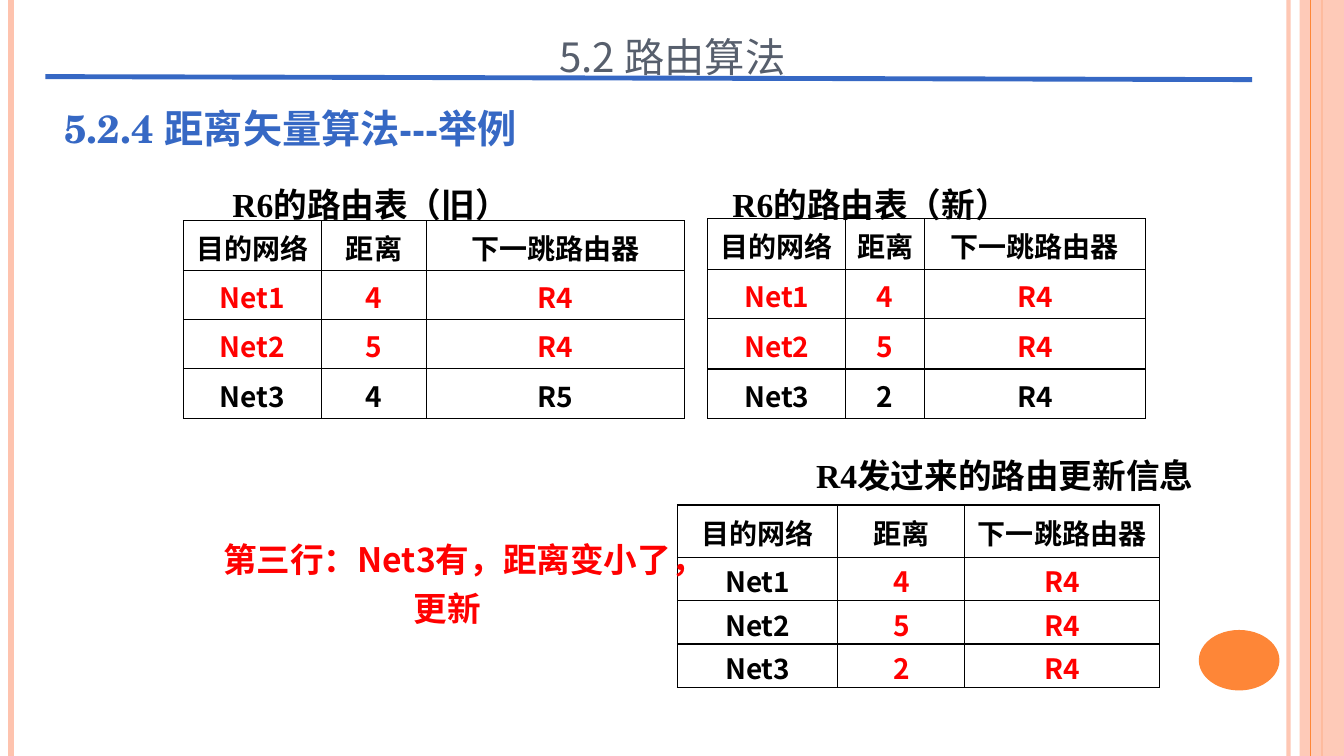
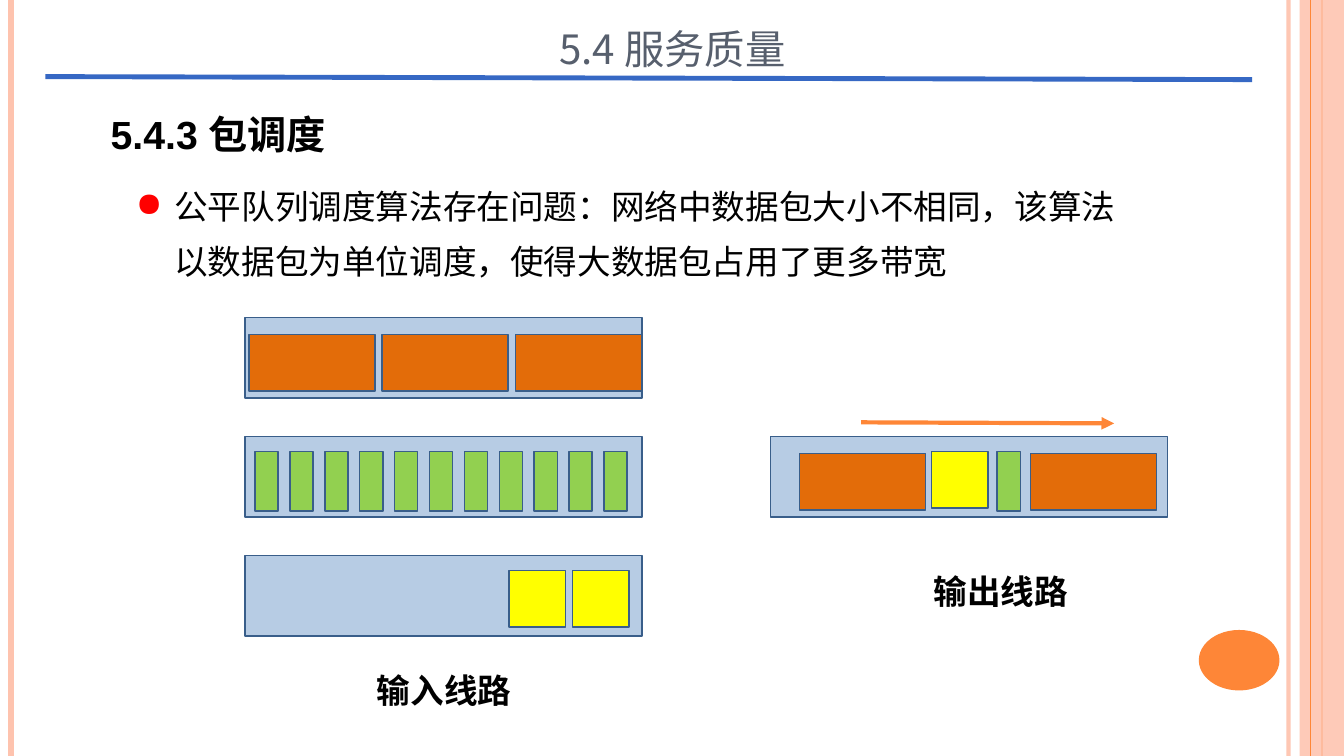
from lxml import etree
from pptx import Presentation
from pptx.dml.color import RGBColor
from pptx.enum.shapes import MSO_CONNECTOR, MSO_SHAPE
from pptx.enum.text import MSO_ANCHOR, PP_ALIGN
from pptx.oxml.ns import qn
from pptx.util import Inches, Pt

LINE = MSO_CONNECTOR.STRAIGHT
RECTANGLE, OVAL = MSO_SHAPE.RECTANGLE, MSO_SHAPE.OVAL
LEFT, CENTER = PP_ALIGN.LEFT, PP_ALIGN.CENTER
TOP, MIDDLE, BOTTOM = MSO_ANCHOR.TOP, MSO_ANCHOR.MIDDLE, MSO_ANCHOR.BOTTOM

COLORS = {
    "peach": "FEC3AE", "accent": "FE8637", "blue": "3668C4",
    "title": "575F6D", "black": "000000", "red": "FF0000",
    "track": "B7CCE4", "outline": "395E8A",
    "orange": "E36C09", "green": "92D050", "yellow": "FFFF00",
}
SANS, SERIF, SCHOOL, ARIAL = (
    "Noto Sans CJK SC", "Times New Roman", "TeX Gyre Schola", "Arial")

SLIDE_WIDTH, SLIDE_HEIGHT = 13.33, 7.5
TABLE_HEADER = ["目的网络", "距离", "下一跳路由器"]

# Packet kinds: width, height, distance below the track's top, colour
PACKETS = {
    "large": (1.25, 0.56, 0.17, "orange"),
    "medium": (0.56, 0.56, 0.15, "yellow"),
    "small": (0.23, 0.59, 0.15, "green"),
}
TRACK_WIDTH, TRACK_HEIGHT, TRACK_PITCH = 3.94, 0.8, 1.18


def rgb(name):
    return RGBColor.from_string(COLORS[name])


def add_element(parent, tag, **attributes):
    return etree.SubElement(parent, qn(tag), attributes)


def set_alpha(properties, percent):
    color = next(properties.iter(qn("a:srgbClr")))
    add_element(color, "a:alpha", val=str(percent * 1000))


def set_font(paragraph, size, name, color, bold=False):
    font = paragraph.font
    font.size, font.name, font.bold = Pt(size), name, bold
    font.color.rgb = rgb(color)
    defaults = paragraph._p.pPr.find(qn("a:defRPr"))
    add_element(defaults, "a:ea", typeface=SANS)
    return defaults


def add_text(slide, box, text, align=CENTER, anchor=TOP, spacing=1.2):
    frame = slide.shapes.add_textbox(*map(Inches, box)).text_frame
    frame.word_wrap = True
    frame.vertical_anchor = anchor
    paragraph = frame.paragraphs[0]
    paragraph.text = text
    paragraph.alignment = align
    paragraph.line_spacing = spacing
    return paragraph


def add_line(slide, start, end, color, width, alpha=None, arrow=False):
    line = slide.shapes.add_connector(LINE, *map(Inches, (*start, *end)))
    line.line.color.rgb = rgb(color)
    line.line.width = Pt(width)
    properties = line._element.spPr
    if alpha:
        set_alpha(properties, alpha)
    if arrow:
        add_element(properties.find(qn("a:ln")), "a:tailEnd", type="triangle")
    add_element(properties, "a:effectLst")


def add_block(slide, box, fill, outline=None, kind=RECTANGLE):
    shape = slide.shapes.add_shape(kind, *map(Inches, box))
    shape.shadow.inherit = False
    shape.fill.solid()
    shape.fill.fore_color.rgb = rgb(fill)
    if outline:
        shape.line.color.rgb = rgb(outline)
        shape.line.width = Pt(1)
    else:
        shape.line.fill.background()
    return shape


def add_frame(slide):
    """Side bands and page disc."""
    def vertical(x, color, width, alpha=None):
        add_line(slide, (x, 0), (x, SLIDE_HEIGHT), color, width, alpha)

    vertical(12.78, "peach", 3, 93)
    vertical(0.11, "peach", 4.5)
    vertical(13.11, "accent", 1.5)
    band = add_block(slide, (12.89, 0, 0.44, SLIDE_HEIGHT), "peach")
    set_alpha(band._element.spPr, 87)
    vertical(13, "accent", 0.75)
    add_block(slide, (11.89, 6.25, 0.8, 0.6), "accent", kind=OVAL)


def add_title(slide, text, top):
    paragraph = add_text(slide, (2.22, top, 8.9, 0.82), text,
                         anchor=BOTTOM, spacing=1.5)
    set_font(paragraph, 36, SANS, "title").set("cap", "small")
    add_line(slide, (0.45, 0.76), (12.42, 0.79), "blue", 3.5)


def add_heading(slide, box, text, font, color):
    paragraph = add_text(slide, box, text, LEFT, BOTTOM, 0.9)
    set_font(paragraph, 28, font, color, bold=True)


def add_caption(slide, box, text, font=SERIF, color="black"):
    set_font(add_text(slide, box, text), 24, font, color, bold=True)


def add_bullet(slide, box, text):
    paragraph = add_text(slide, box, text, LEFT, spacing=1.35)
    properties = paragraph._p.get_or_add_pPr()
    indent = Inches(0.38)
    properties.set("marL", str(indent))
    properties.set("indent", str(-indent))
    bullet_color = add_element(properties, "a:buClr")
    add_element(bullet_color, "a:srgbClr", val=COLORS["red"])
    add_element(properties, "a:buChar", char="●")
    set_font(paragraph, 24, ARIAL, "black")


def set_borders(cell):
    properties = cell._tc.get_or_add_tcPr()
    for index, side in enumerate(("a:lnL", "a:lnR", "a:lnT", "a:lnB")):
        border = etree.Element(qn(side), w=str(Pt(1)))
        fill = add_element(border, "a:solidFill")
        add_element(fill, "a:srgbClr", val=COLORS["black"])
        properties.insert(index, border)


def add_routes(slide, left, top, widths, heights, routes, is_red):
    """Routing table; is_red(row, column) picks the marked cells."""
    rows = [TABLE_HEADER, *routes]
    table = slide.shapes.add_table(
        len(rows), len(widths), Inches(left), Inches(top),
        Inches(sum(widths)), Inches(sum(heights))).table
    for column, width in zip(table.columns, widths):
        column.width = Inches(width)
    for row_index, (values, height) in enumerate(zip(rows, heights)):
        table.rows[row_index].height = Inches(height)
        for column_index, value in enumerate(values):
            cell = table.cell(row_index, column_index)
            cell.fill.background()
            cell.margin_top, cell.margin_bottom = Inches(0.03), 0
            cell.vertical_anchor = MIDDLE
            set_borders(cell)
            paragraph = cell.text_frame.paragraphs[0]
            paragraph.text = value
            paragraph.alignment = CENTER
            color = "red" if is_red(row_index, column_index) else "black"
            set_font(paragraph, 20, SANS, color, bold=True)


def add_track(slide, left, top, packets):
    """Line with packets, each a kind and its distance from the left end."""
    add_block(slide, (left, top, TRACK_WIDTH, TRACK_HEIGHT), "track", "outline")
    for kind, offset in packets:
        width, height, drop, color = PACKETS[kind]
        add_block(slide, (left + offset, top + drop, width, height),
                  color, "outline")


def build_routing_slide(slide):
    add_frame(slide)
    add_title(slide, "5.2 路由算法", 0.05)
    add_heading(slide, (0.54, 0.75, 6.28, 0.81), "5.2.4 距离矢量算法---举例",
                SCHOOL, "blue")

    def unchanged(row, column):
        return row in (1, 2)

    def received(row, column):
        return row > 0 and column > 0

    # Old and new tables of R6
    add_routes(slide, 1.82, 2.19, [1.37, 1.04, 2.56], [0.49] * 4,
               [["Net1", "4", "R4"], ["Net2", "5", "R4"], ["Net3", "4", "R5"]],
               unchanged)
    add_routes(slide, 7.02, 2.17, [1.37, 0.78, 2.19], [0.5, 0.49, 0.5, 0.49],
               [["Net1", "4", "R4"], ["Net2", "5", "R4"], ["Net3", "2", "R4"]],
               unchanged)
    add_caption(slide, (2.02, 1.7, 3.31, 0.59), "R6的路由表（旧）")
    add_caption(slide, (6.91, 1.7, 3.45, 0.59), "R6的路由表（新）")

    # Update sent by R4
    add_routes(slide, 6.72, 5.01, [1.59, 1.26, 1.93], [0.52] + [0.43] * 3,
               [["Net1", "4", "R4"], ["Net2", "5", "R4"], ["Net3", "2", "R4"]],
               received)
    add_caption(slide, (7.75, 4.38, 4.43, 0.59), "R4发过来的路由更新信息")
    add_caption(slide, (2.05, 5.22, 4.77, 1.07),
                "第三行：Net3有，距离变小了，更新", SANS, "red")


def build_scheduling_slide(slide):
    add_frame(slide)
    add_title(slide, "5.4 服务质量", -0.03)
    add_heading(slide, (1, 0.82, 5, 0.8), "5.4.3 包调度", ARIAL, "black")
    add_bullet(slide, (1.25, 1.66, 9.98, 1.2),
               "公平队列调度算法存在问题：网络中数据包大小不相同，"
               "该算法以数据包为单位调度，使得大数据包占用了更多带宽")

    # Input lines
    small_step = 3.46 / 10
    queues = [
        [("large", 0.04 + 1.32 * i) for i in range(3)],
        [("small", 0.1 + small_step * i) for i in range(11)],
        [("medium", 2.62 + 0.63 * i) for i in range(2)],
    ]
    left, top = 2.43, 3.15
    for index, packets in enumerate(queues):
        add_track(slide, left, top + TRACK_PITCH * index, packets)
    add_caption(slide, (3.22, 6.52, 2.37, 0.59), "输入线路")

    # Output line, level with the middle input
    add_track(slide, 7.64, top + TRACK_PITCH,
              [("large", 0.29), ("medium", 1.6), ("small", 2.25),
               ("large", 2.58)])
    add_line(slide, (8.54, 4.19), (11.05, 4.2), "accent", 3, arrow=True)
    add_caption(slide, (8.74, 5.53, 2.37, 0.59), "输出线路")


def main():
    presentation = Presentation()
    presentation.slide_width = Inches(SLIDE_WIDTH)
    presentation.slide_height = Inches(SLIDE_HEIGHT)
    blank = presentation.slide_layouts[6]
    for build in (build_routing_slide, build_scheduling_slide):
        build(presentation.slides.add_slide(blank))
    presentation.save("out.pptx")


if __name__ == "__main__":
    main()
